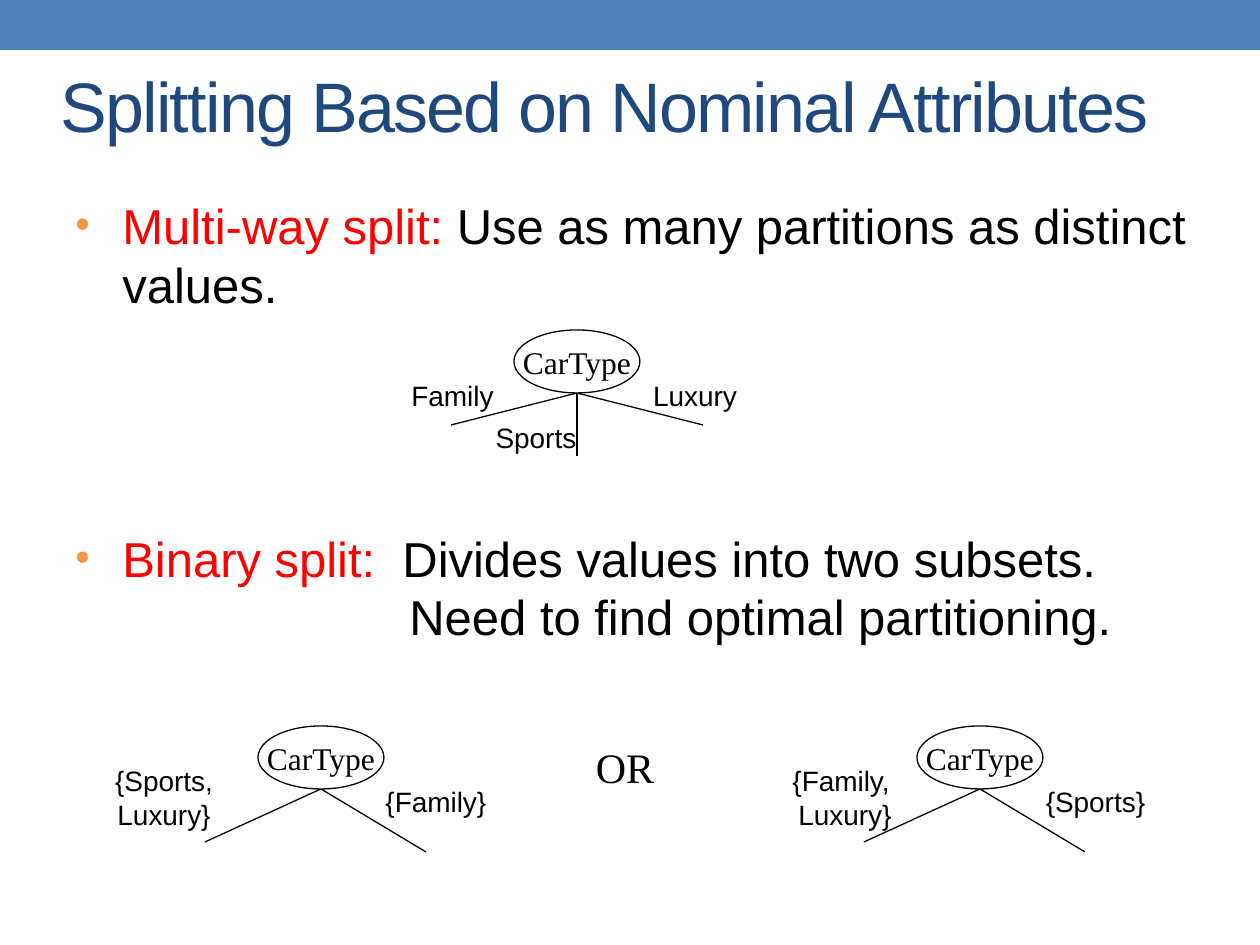
from pptx import Presentation
from pptx.dml.color import RGBColor
from pptx.enum.shapes import MSO_CONNECTOR, MSO_SHAPE
from pptx.enum.text import MSO_ANCHOR, PP_ALIGN
from pptx.oxml.ns import qn
from pptx.util import Pt
from lxml.etree import SubElement

SCALE = 914400 // 126
COLORS = {"bar": "4F81BD", "title": "1F497D", "key": "FF0000",
          "ink": "000000", "paper": "FFFFFF", "dot": "F79646"}


def px(num):
    return int(num * SCALE)


def rgb(name):
    return RGBColor.from_string(COLORS[name])


def write(para, text, size=16, font="Arial", color="ink", track=0):
    run = para.add_run()
    run.text = text
    run.font.size = Pt(size)
    run.font.name = font
    run.font.color.rgb = rgb(color)
    if track:
        run.font._element.set("spc", str(track * 100))


class Slide:
    serif = "Times New Roman"

    def __init__(self, deck):
        self.page = deck.slides.add_slide(deck.slide_layouts[6])
        self.root = self.page.shapes

    def shape(self, box, kind, fill, line=None, root=None):
        item = (root or self.root).add_shape(kind, *map(px, box))
        item.shadow.inherit = False
        item.fill.solid()
        item.fill.fore_color.rgb = rgb(fill)
        if line:
            item.line.color.rgb = rgb(line)
            item.line.width = Pt(0.75)
        else:
            item.line.fill.background()
        return item

    def frame(self, box, wrap=False, anchor=MSO_ANCHOR.MIDDLE, root=None):
        body = (root or self.root).add_textbox(*map(px, box)).text_frame
        body.word_wrap = wrap
        body.vertical_anchor = anchor
        return body

    def label(self, box, text, wrap=False, root=None, **style):
        para = self.frame(box, wrap, root=root).paragraphs[0]
        para.alignment = PP_ALIGN.CENTER
        for part, line in enumerate(text.split("\n")):
            if part:
                para.add_line_break()
            write(para, line, **style)

    def line(self, start, end, root):
        item = root.add_connector(MSO_CONNECTOR.STRAIGHT, *map(px, start + end))
        item.line.color.rgb = rgb("ink")
        item.line.width = Pt(0.75)
        SubElement(item._element.spPr, qn("a:effectLst"))

    def point(self, para, left, hang=0, before=0):
        para.space_before = Pt(before)
        props = para._p.get_or_add_pPr()
        props.set("marL", str(px(left)))
        props.set("indent", str(px(-hang)))
        if hang:
            SubElement(SubElement(props, qn("a:buClr")), qn("a:srgbClr"), val=COLORS["dot"])
            SubElement(props, qn("a:buSzPct"), val="85000")
            SubElement(props, qn("a:buFont"), typeface="Arial")
            SubElement(props, qn("a:buChar"), char="•")

    def tree(self, left, top, ends, labels):
        root = self.root.add_group_shape().shapes
        node = self.shape((left, top, 126, 63), MSO_SHAPE.OVAL, "paper", "ink", root)
        node.text_frame.word_wrap = False
        node.text_frame.vertical_anchor = MSO_ANCHOR.MIDDLE
        para = node.text_frame.paragraphs[0]
        para.alignment = PP_ALIGN.CENTER
        write(para, "CarType", size=18, font=self.serif)
        fork = (left + 63, top + 63)
        for across, down in ends:
            self.line(fork, (fork[0] + across, fork[1] + down), root)
        for text, box, wrap in labels:
            self.label(box, text, wrap, root)


deck = Presentation()
deck.slide_width, deck.slide_height = px(1260), px(945)
slide = Slide(deck)

slide.shape((0, 0, 1260, 50), MSO_SHAPE.RECTANGLE, "bar")
title = slide.frame((48, 52, 1187, 105), wrap=True)
write(title.paragraphs[0], "Splitting Based on Nominal Attributes",
      size=40, color="title", track=-1)

body = slide.frame((63, 189, 1155, 514), wrap=True, anchor=MSO_ANCHOR.TOP)
points = [
    ("Multi-way split:", " Use as many partitions as distinct values.", 47, 47, 0),
    ("Binary split:", "  Divides values into two subsets.", 47, 47, 123),
    ("", "Need to find optimal partitioning.", 334, 0, 0),
]
for rank, (key, text, left, hang, before) in enumerate(points):
    para = body.add_paragraph() if rank else body.paragraphs[0]
    slide.point(para, left, hang, before)
    if key:
        write(para, key, size=28, color="key")
    write(para, text, size=28)

slide.tree(514, 330, [(-126, 32), (0, 63), (126, 32)], [
    ("Family", (399, 372, 107, 47), False),
    ("Sports", (483, 414, 106, 47), False),
    ("Luxury", (640, 372, 110, 47), False),
])
pair = [(-116, 53), (105, 63)]
slide.tree(917, 726, pair, [
    ("{Family, \nLuxury}", (779, 757, 132, 81), False),
    ("{Sports}", (1033, 778, 125, 47), False),
])
slide.tree(258, 726, pair, [
    ("{Sports, Luxury}", (99, 757, 130, 81), True),
    ("{Family}", (373, 778, 126, 47), False),
])
slide.label((575, 735, 100, 63), "OR", size=24, font=Slide.serif)

deck.save("out.pptx")
